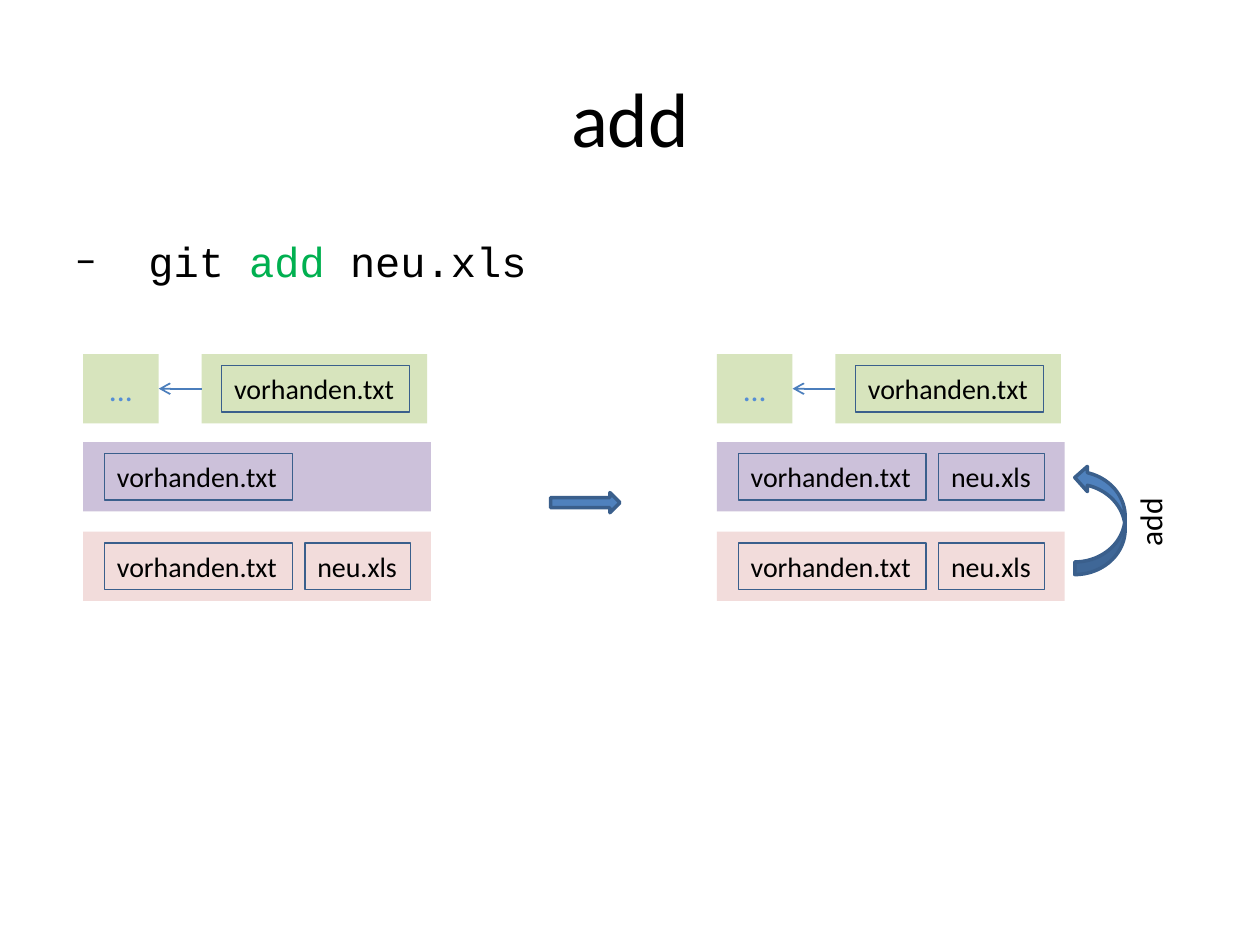
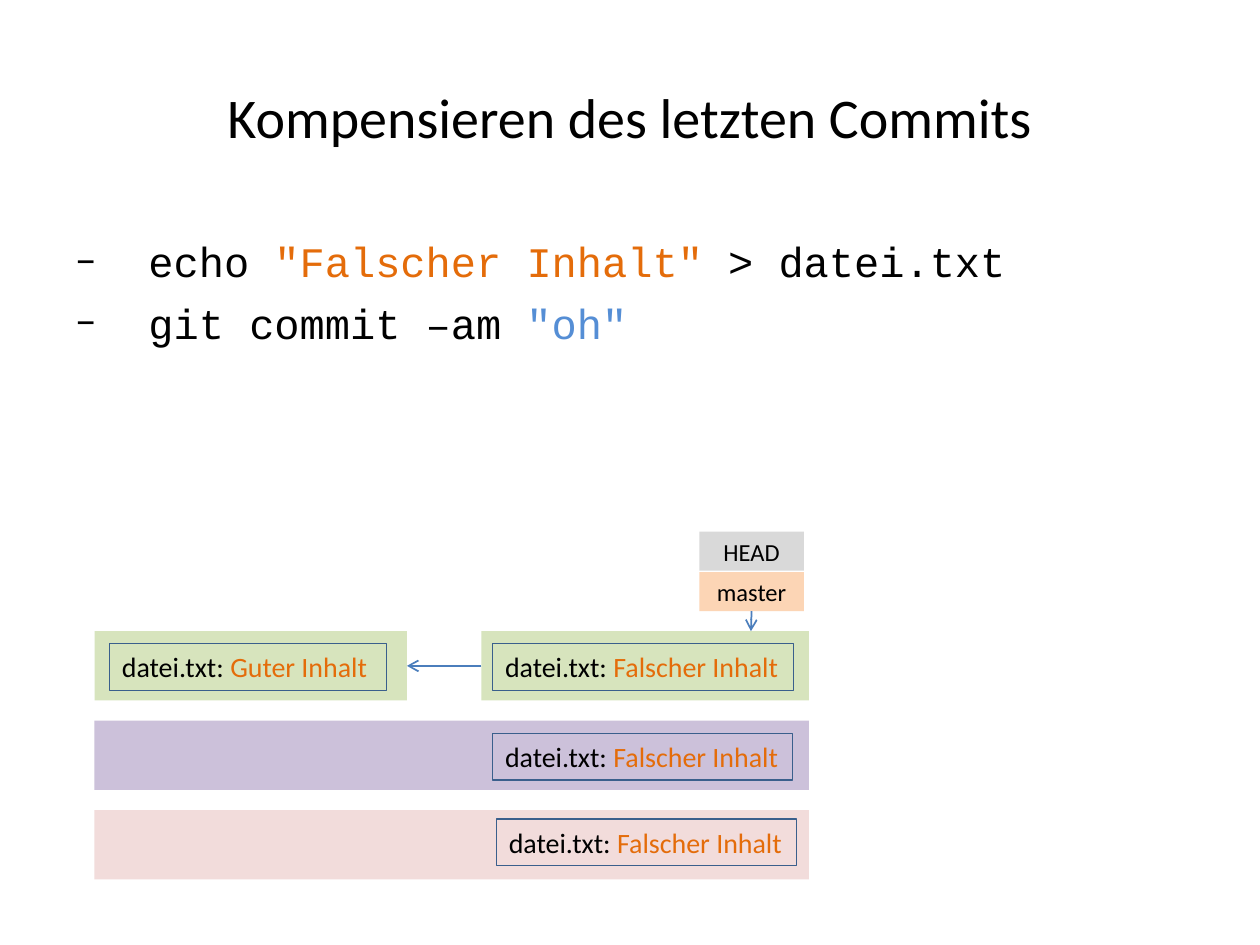
"""Build two slides that show how git commands move files between commit, index and workspace."""
from lxml.etree import SubElement
from pptx import Presentation
from pptx.dml.color import RGBColor
from pptx.enum.shapes import MSO_CONNECTOR, MSO_SHAPE
from pptx.enum.text import MSO_ANCHOR, MSO_AUTO_SIZE, PP_ALIGN
from pptx.oxml.ns import qn
from pptx.util import Inches, Pt

BLACK = RGBColor(0x00, 0x00, 0x00)
GREEN = RGBColor(0x00, 0xB0, 0x50)
ORANGE = RGBColor(0xE4, 0x6C, 0x0A)
LIGHT_BLUE = RGBColor(0x55, 0x8E, 0xD5)
ARROW_FILL = RGBColor(0x4F, 0x81, 0xBD)
OUTLINE = RGBColor(0x3A, 0x5F, 0x8C)
CONNECTOR = RGBColor(0x4B, 0x7E, 0xBC)
COMMIT = RGBColor(0xD7, 0xE4, 0xBD)
INDEX = RGBColor(0xCC, 0xC1, 0xDA)
WORKSPACE = RGBColor(0xF2, 0xDC, 0xDB)
BRANCH = RGBColor(0xFC, 0xD5, 0xB5)
HEAD = RGBColor(0xD9, 0xD9, 0xD9)

BAR_HEIGHT = 0.55
FILE_HEIGHT = 0.37
FILE_FRAME = {"auto_size": MSO_AUTO_SIZE.SHAPE_TO_FIT_TEXT, "vertical_anchor": MSO_ANCHOR.TOP}
LABEL_FRAME = {"word_wrap": True, "vertical_anchor": MSO_ANCHOR.MIDDLE}


def write_runs(paragraph, runs, size, name="Calibri"):
    """Add coloured runs to a paragraph."""
    for text, color in runs:
        run = paragraph.add_run()
        run.text = text
        for attribute, value in {"size": Pt(size), "name": name}.items():
            setattr(run.font, attribute, value)
        run.font.color.rgb = color


def add_box(slide, place, fill=None, runs=(), size=16, wrap=False, preset=MSO_SHAPE.RECTANGLE, outline=0):
    """Add a filled bar or label, or an outlined file box when no fill is given."""
    shape = slide.shapes.add_shape(preset, *map(Inches, place))
    shape.shadow.inherit = False
    if fill is None:
        shape.fill.background()
    else:
        shape.fill.solid()
        shape.fill.fore_color.rgb = fill
    if outline:
        shape.line.color.rgb = OUTLINE
        shape.line.width = Pt(outline)
    else:
        shape.line.fill.background()
    if runs:
        frame_format = LABEL_FRAME if fill else {**FILE_FRAME, "word_wrap": wrap}
        for attribute, value in frame_format.items():
            setattr(shape.text_frame, attribute, value)
        paragraph = shape.text_frame.paragraphs[0]
        paragraph.alignment = PP_ALIGN.CENTER if fill else PP_ALIGN.LEFT
        write_runs(paragraph, runs, size)
    return shape


presentation = Presentation()
presentation.slide_width = Inches(10)
presentation.slide_height = Inches(7.5)

SLIDES = [
    ("add", 44, [[("git ", BLACK), ("add ", GREEN), ("neu.xls", BLACK)]]),
    ("Kompensieren des letzten Commits", 32, [
        [("echo ", BLACK), ('"Falscher Inhalt"', ORANGE), (" > datei.txt", BLACK)],
        [("git commit –am ", BLACK), ('"oh"', LIGHT_BLUE)],
    ]),
]
for title_text, title_size, commands in SLIDES:
    slide = presentation.slides.add_slide(presentation.slide_layouts[5])
    title = slide.shapes.title
    title_place = {"left": 0.5, "top": 0.3, "width": 9, "height": 1.25}
    for attribute, value in title_place.items():
        setattr(title, attribute, Inches(value))
    title.text_frame.vertical_anchor = MSO_ANCHOR.MIDDLE
    title_paragraph = title.text_frame.paragraphs[0]
    title_paragraph.alignment = PP_ALIGN.CENTER
    write_runs(title_paragraph, [(title_text, BLACK)], title_size)

    body = slide.shapes.add_textbox(Inches(0.5), Inches(1.82), Inches(9), Inches(1))
    body.text_frame.word_wrap = True
    for number, command in enumerate(commands):
        paragraph = body.text_frame.add_paragraph() if number else body.text_frame.paragraphs[0]
        if number:
            paragraph.space_before = Pt(6.5)
        properties = paragraph._p.get_or_add_pPr()
        properties.set("marL", str(Inches(0.58)))
        properties.set("indent", str(-Inches(0.58)))
        SubElement(properties, qn("a:buFont"), typeface="Calibri")
        SubElement(properties, qn("a:buChar"), char="−")
        write_runs(paragraph, command, 24, "Courier New")

add_slide, commit_slide = presentation.slides
arrows = []

commit_top, index_top, workspace_top = 2.81, 3.51, 4.22
OLD_FILE = ("vorhanden.txt", 0.17, 1.49)
NEW_FILE = ("neu.xls", 1.76, 0.84)
for left, index_files in ((0.66, [OLD_FILE]), (5.69, [OLD_FILE, NEW_FILE])):
    bars = [
        (workspace_top, WORKSPACE, [OLD_FILE, NEW_FILE]),
        (index_top, INDEX, index_files),
    ]
    for top, color, files in bars:
        add_box(add_slide, (left, top, 2.76, BAR_HEIGHT), color)
        for name, offset, width in files:
            add_box(add_slide, (left + offset, top + 0.09, width, FILE_HEIGHT), runs=[(name, BLACK)], outline=0.75)
    commit = add_box(add_slide, (left + 0.94, commit_top, 1.79, BAR_HEIGHT), COMMIT)
    add_box(add_slide, (left + 1.1, commit_top + 0.09, 1.49, FILE_HEIGHT),
            runs=[("vorhanden.txt", BLACK)], outline=0.75)
    parent = add_box(add_slide, (left, commit_top, 0.6, BAR_HEIGHT), COMMIT, [("...", LIGHT_BLUE)], 18)
    arrows.append((add_slide, commit, 1, parent, 3, (0, 0)))

add_box(add_slide, (4.37, 3.91, 0.55, 0.16), ARROW_FILL, preset=MSO_SHAPE.RIGHT_ARROW, outline=2)
add_arrow = add_box(add_slide, (8.53, 3.69, 0.4, 0.87), ARROW_FILL,
                    preset=MSO_SHAPE.CURVED_RIGHT_ARROW, outline=2)
add_arrow.rotation = 180
add_label = add_slide.shapes.add_textbox(Inches(8.83), Inches(3.94), Inches(0.59), Inches(0.4))
add_label.rotation = 270
for attribute, value in {**FILE_FRAME, "word_wrap": False}.items():
    setattr(add_label.text_frame, attribute, value)
write_runs(add_label.text_frame.paragraphs[0], [("add", BLACK)], 18)

commit_top, index_top, workspace_top = 5.01, 5.72, 6.43
add_box(commit_slide, (0.75, workspace_top, 5.67, BAR_HEIGHT), WORKSPACE)
add_box(commit_slide, (0.75, index_top, 5.67, BAR_HEIGHT), INDEX)
wrong_commit = add_box(commit_slide, (3.82, commit_top, 2.6, BAR_HEIGHT), COMMIT)
good_commit = add_box(commit_slide, (0.75, commit_top, 2.48, BAR_HEIGHT), COMMIT)
master = add_box(commit_slide, (5.55, 4.54, 0.83, 0.31), BRANCH, [("master", BLACK)], 14)
add_box(commit_slide, (5.55, 4.22, 0.83, 0.31), HEAD, [("HEAD", BLACK)], 14)
arrows.append((commit_slide, wrong_commit, 1, good_commit, 3, (0, 0)))
arrows.append((commit_slide, master, 2, None, None, (5.96, commit_top)))

for left, top, width, content in [
    (3.91, commit_top + 0.1, 2.39, "Falscher Inhalt"),
    (3.91, index_top + 0.1, 2.38, "Falscher Inhalt"),
    (3.94, workspace_top + 0.07, 2.38, "Falscher Inhalt"),
    (0.87, commit_top + 0.1, 2.2, "Guter Inhalt"),
]:
    add_box(commit_slide, (left, top, width, FILE_HEIGHT),
            runs=[("datei.txt: ", BLACK), (content, ORANGE)], wrap=True, outline=0.75)

for slide, source, source_side, target, target_side, end in arrows:
    end_x, end_y = map(Inches, end)
    connector = slide.shapes.add_connector(MSO_CONNECTOR.STRAIGHT, end_x, end_y, end_x, end_y)
    connector.begin_connect(source, source_side)
    if target is not None:
        connector.end_connect(target, target_side)
    connector.line.color.rgb = CONNECTOR
    connector.line.width = Pt(1)
    SubElement(connector.line._get_or_add_ln(), qn("a:tailEnd"), type="arrow")
    SubElement(connector._element.spPr, qn("a:effectLst"))

presentation.save("out.pptx")
